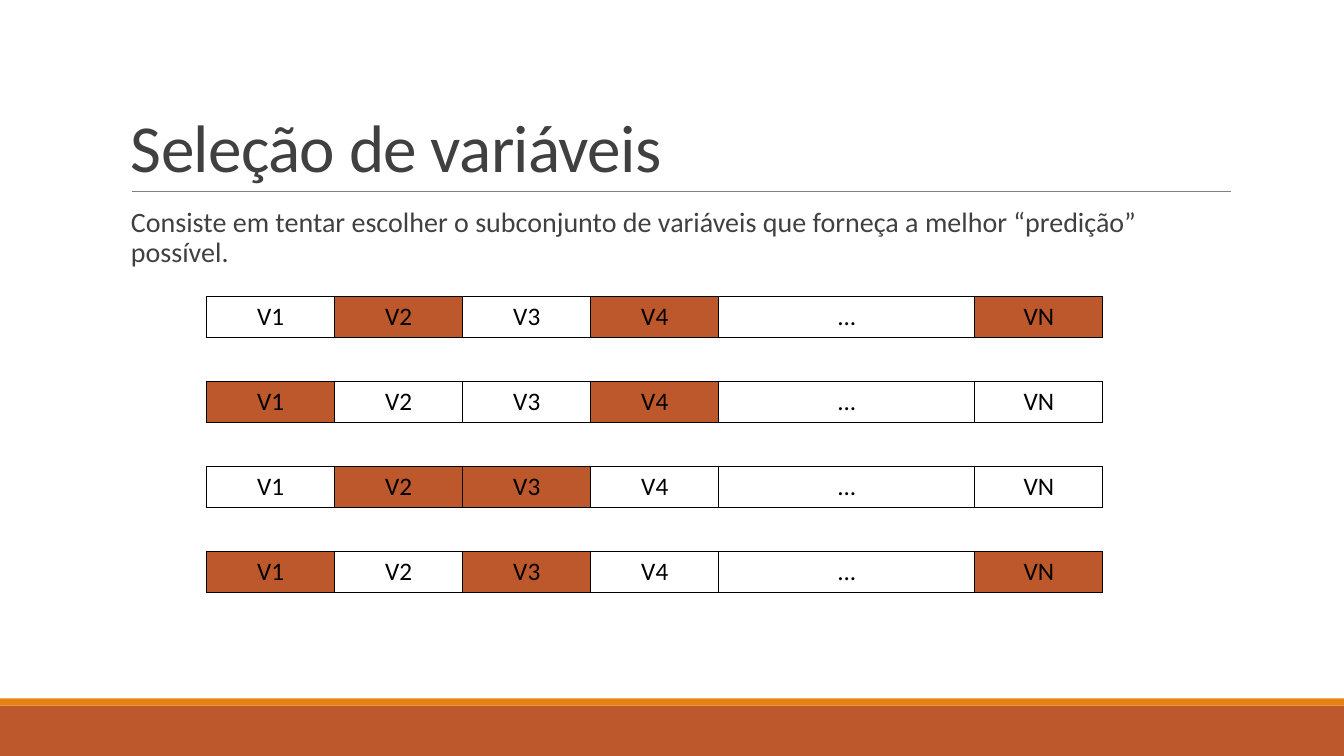
import dataclasses

import pptx
import pptx.dml.color
import pptx.enum.shapes
import pptx.enum.text
import pptx.oxml
import pptx.oxml.ns
import pptx.util

Inches = pptx.util.Inches
Pt = pptx.util.Pt
Align = pptx.enum.text.PP_ALIGN
Anchor = pptx.enum.text.MSO_ANCHOR


@dataclasses.dataclass(frozen=True)
class Theme:
    """Colours, font and type sizes of the slide."""
    font: str = "Calibri"
    ink: str = "404040"
    black: str = "000000"
    rule: str = "808080"
    rust: str = "BD582C"
    amber: str = "E48312"
    title_size: int = 48
    body_size: int = 20
    cell_size: int = 18


@dataclasses.dataclass(frozen=True)
class Band:
    """A full-width footer band."""
    top: float
    height: float
    color: str


@dataclasses.dataclass(frozen=True)
class Subset:
    """The variables picked in one candidate selection."""
    chosen: frozenset[str]


THEME = Theme()
SLIDE_WIDTH, SLIDE_HEIGHT = 13.33, 7.5
BANDS = [Band(7, 0.5, THEME.rust), Band(6.93, 0.07, THEME.amber)]

VARIABLES = ["V1", "V2", "V3", "V4", "...", "VN"]
UNIT_WIDTH, ROW_HEIGHT = 1.27, 0.41
WIDTHS = [UNIT_WIDTH * (2 if name == "..." else 1) for name in VARIABLES]
ROWS_LEFT, FIRST_ROW, LAST_ROW = 2.05, 2.94, 5.47
SUBSETS = [
    Subset(frozenset({"V2", "V4", "VN"})),
    Subset(frozenset({"V1", "V4"})),
    Subset(frozenset({"V2", "V3"})),
    Subset(frozenset({"V1", "V3", "VN"})),
]


def rgb(color: str) -> pptx.dml.color.RGBColor:
    """Turn a hex string into a colour."""
    return pptx.dml.color.RGBColor.from_string(color)


def write(frame, text: str, *, size: int, color: str, align=Align.LEFT,
          line_spacing: float = 1.0, before: int = 0, after: int = 0,
          tracking: float = 0) -> None:
    """Write one formatted paragraph into a text frame."""
    paragraph = frame.paragraphs[0]
    paragraph.alignment = align
    paragraph.line_spacing = line_spacing
    paragraph.space_before, paragraph.space_after = Pt(before), Pt(after)
    run = paragraph.add_run()
    run.text = text
    run.font.name, run.font.size = THEME.font, Pt(size)
    run.font.color.rgb = rgb(color)
    if tracking:
        run.font._element.set("spc", str(int(tracking * 100)))


def add_text(slide, text: str, top: float, height: float, *, anchor,
             right_inset: float, **text_format) -> None:
    """Add a wrapped text box in the main column."""
    box = slide.shapes.add_textbox(Inches(1.2), Inches(top), Inches(11), Inches(height))
    frame = box.text_frame
    frame.word_wrap = True
    frame.vertical_anchor = anchor
    frame.margin_left, frame.margin_right = Inches(0.1), Inches(right_inset)
    write(frame, text, **text_format)


def add_band(slide, band: Band) -> None:
    """Draw a footer band."""
    bar = slide.shapes.add_shape(
        pptx.enum.shapes.MSO_SHAPE.RECTANGLE, 0, Inches(band.top),
        Inches(SLIDE_WIDTH), Inches(band.height))
    bar.shadow.inherit = False
    bar.fill.solid()
    bar.fill.fore_color.rgb = rgb(band.color)
    bar.line.fill.background()


def add_title_rule(slide) -> None:
    """Draw the thin line below the title."""
    rule = slide.shapes.add_connector(
        pptx.enum.shapes.MSO_CONNECTOR.STRAIGHT,
        Inches(1.31), Inches(1.9), Inches(12.21), Inches(1.9))
    rule.line.color.rgb = rgb(THEME.rule)
    rule.line.width = Pt(0.5)
    rule._element.spPr.append(pptx.oxml.parse_xml(
        f"<a:effectLst {pptx.oxml.ns.nsdecls('a')}/>"))


def add_borders(cell) -> None:
    """Give a cell a one-point black outline."""
    properties = cell._tc.get_or_add_tcPr()
    for side in "LRTB":
        properties.append(pptx.oxml.parse_xml(
            f'<a:ln{side} {pptx.oxml.ns.nsdecls("a")} w="{Pt(1)}"><a:solidFill>'
            f'<a:srgbClr val="{THEME.black}"/></a:solidFill></a:ln{side}>'))


def add_subset(slide, subset: Subset, top: float) -> None:
    """Draw one row of variables with the chosen ones filled."""
    table = slide.shapes.add_table(
        1, len(VARIABLES), Inches(ROWS_LEFT), Inches(top),
        Inches(sum(WIDTHS)), Inches(ROW_HEIGHT)).table
    table.first_row = table.horz_banding = False
    for index, (name, width) in enumerate(zip(VARIABLES, WIDTHS)):
        table.columns[index].width = Inches(width)
        cell = table.cell(0, index)
        add_borders(cell)
        if name in subset.chosen:
            cell.fill.solid()
            cell.fill.fore_color.rgb = rgb(THEME.rust)
        else:
            cell.fill.background()
        write(cell.text_frame, name, size=THEME.cell_size,
              color=THEME.black, align=Align.CENTER)


def main() -> None:
    """Build and save the slide."""
    deck = pptx.Presentation()
    deck.slide_width, deck.slide_height = Inches(SLIDE_WIDTH), Inches(SLIDE_HEIGHT)
    slide = deck.slides.add_slide(deck.slide_layouts[6])
    for band in BANDS:
        add_band(slide, band)
    add_title_rule(slide)
    add_text(slide, "Seleção de variáveis", 0.31, 1.59, anchor=Anchor.BOTTOM,
             right_inset=0.1, size=THEME.title_size, color=THEME.ink,
             line_spacing=0.85, tracking=-0.5)
    add_text(slide, "Consiste em tentar escolher o subconjunto de variáveis que "
             "forneça a melhor “predição” possível.", 2.02, 4.4,
             anchor=Anchor.TOP, right_inset=0, size=THEME.body_size,
             color=THEME.ink, line_spacing=0.9, before=12, after=2)
    pitch = (LAST_ROW - FIRST_ROW) / (len(SUBSETS) - 1)
    for index, subset in enumerate(SUBSETS):
        add_subset(slide, subset, FIRST_ROW + index * pitch)
    deck.save("out.pptx")


main()
